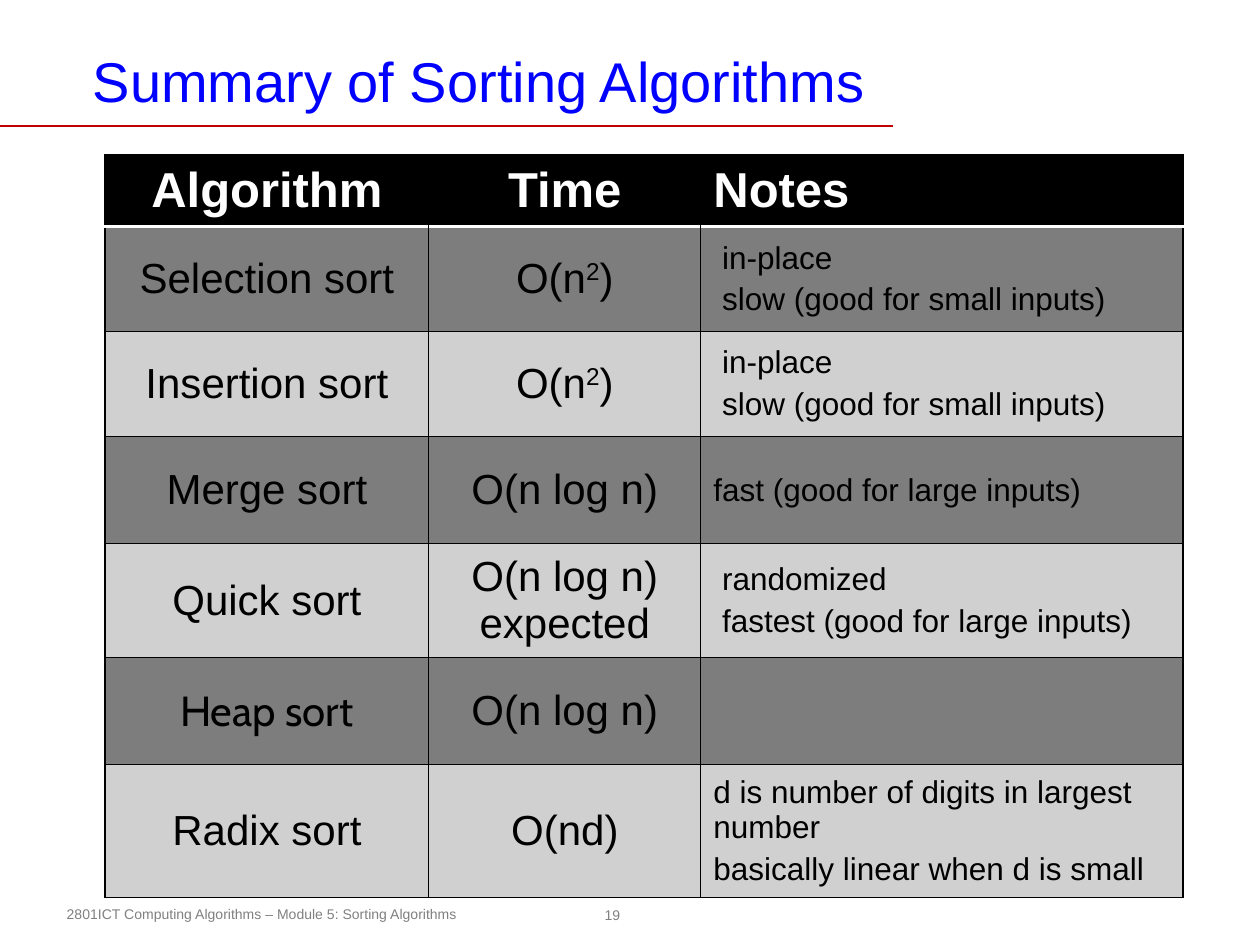
from lxml import etree
from pptx import Presentation
from pptx.dml.color import RGBColor
from pptx.enum.shapes import MSO_CONNECTOR, MSO_SHAPE
from pptx.enum.text import MSO_ANCHOR, PP_ALIGN
from pptx.oxml.ns import qn
from pptx.util import Pt

LEFT, CENTER = PP_ALIGN.LEFT, PP_ALIGN.CENTER
TOP, MIDDLE = MSO_ANCHOR.TOP, MSO_ANCHOR.MIDDLE
OVAL, STRAIGHT = MSO_SHAPE.OVAL, MSO_CONNECTOR.STRAIGHT
BLACK, WHITE, GRAY = "000000", "FFFFFF", "808080"
BLUE, RED = "0000FF", "C00000"
DARK, LIGHT = "7D7D7D", "D0D0D0"
THIN, THICK = (BLACK, 0.75), (WHITE, 2)

SQUARE = [["O(n", "^2", ")"]]
LOG = [["O(n log n)"]]
SLOW = [["in-place"], ["slow (good for small inputs)"]]
HEAD = ["Algorithm", "Time", "Notes"]
SORTS = [
    ("Selection sort", SQUARE, SLOW, 5),
    ("Insertion sort", SQUARE, SLOW, 5),
    ("Merge sort", LOG, [["fast (good for large inputs)"]], 0),
    ("Quick sort", [["O(n log n)", "\n", "expected"]],
     [["randomized"], ["fastest (good for large inputs)"]], 5),
    ("Heap sort", LOG, [], 0),
    ("Radix sort", [["O(nd)"]],
     [["d is number of digits in largest number"],
      ["basically linear when d is small"]], 0),
]
COLS = [185, 155.5, 275.5]
ROWS = [39, 60, 60, 61.5, 61.5, 61.5, 60]


def color(code):
    return RGBColor.from_string(code)


class Deck:
    """Holds the style and the current slide."""

    def __init__(self, font):
        self.font = font
        self.prs = Presentation()
        self.prs.slide_width, self.prs.slide_height = Pt(720), Pt(540)
        self.slide = self.prs.slides.add_slide(self.prs.slide_layouts[6])

    def words(self, frame, paras, size, ink, align=LEFT, bold=False,
              font=None, gap=0, indent=0):
        for num, parts in enumerate(paras):
            para = frame.add_paragraph() if num else frame.paragraphs[0]
            para.alignment = align
            para.space_before = Pt(gap)
            if indent:
                para._p.get_or_add_pPr().set("marL", str(Pt(indent)))
            for part in parts:
                if part == "\n":
                    para.add_line_break()
                    continue
                run = para.add_run()
                run.text = part.lstrip("^")
                run.font.name = font or self.font
                run.font.size, run.font.bold = Pt(size), bold
                run.font.color.rgb = color(ink)
                if part.startswith("^"):
                    run._r.get_or_add_rPr().set("baseline", "30000")

    def inset(self, frame, side, top, wrap=True, anchor=TOP):
        frame.margin_left = frame.margin_right = Pt(side)
        frame.margin_top = frame.margin_bottom = Pt(top)
        frame.word_wrap, frame.vertical_anchor = wrap, anchor

    def text(self, box, label, size, ink, side, top):
        frame = self.slide.shapes.add_textbox(*map(Pt, box)).text_frame
        self.inset(frame, side, top)
        self.words(frame, [[label]], size, ink)

    def badge(self, box, label, size, ink):
        shape = self.slide.shapes.add_shape(OVAL, *map(Pt, box))
        shape.shadow.inherit = False
        shape.fill.background()
        shape.line.fill.background()
        self.inset(shape.text_frame, 3, 3, False, MIDDLE)
        self.words(shape.text_frame, [[label]], size, ink, CENTER)

    def rule(self, start, end, ink, width):
        line = self.slide.shapes.add_connector(
            STRAIGHT, *map(Pt, start + end))
        line.line.color.rgb, line.line.width = color(ink), Pt(width)
        etree.SubElement(line._element.spPr, qn("a:effectLst"))

    def edge(self, cell, side, style):
        props = cell._tc.get_or_add_tcPr()
        line = etree.SubElement(props, qn("a:ln" + side))
        if style is None:
            line.set("w", "0")
            etree.SubElement(line, qn("a:noFill"))
            return
        ink, width = style
        line.set("w", str(Pt(width)))
        fill = etree.SubElement(line, qn("a:solidFill"))
        etree.SubElement(fill, qn("a:srgbClr")).set("val", ink)

    def grid(self, left, top, cols, rows):
        frame = self.slide.shapes.add_table(
            len(rows), len(cols), Pt(left), Pt(top),
            Pt(sum(cols)), Pt(sum(rows)))
        table = frame.table
        for col, width in zip(table.columns, cols):
            col.width = Pt(width)
        for row, height in zip(table.rows, rows):
            row.height = Pt(height)
        return table

    def cell(self, cell, paras, size, ink, fill, edges, **style):
        for side, line in zip("LRTB", edges):
            self.edge(cell, side, line)
        cell.fill.solid()
        cell.fill.fore_color.rgb = color(fill)
        cell.vertical_anchor = MIDDLE
        self.words(cell.text_frame, paras, size, ink, gap=size / 5, **style)


def main():
    deck = Deck("Arial")
    deck.badge((341.5, 513.5, 17, 18.5), "19", 8, GRAY)
    deck.text((31, 514, 262, 17),
              "2801ICT Computing Algorithms – Module 5: Sorting Algorithms",
              8, GRAY, 7.2, 3.6)
    deck.rule((0, 72), (510.5, 72), RED, 1)
    deck.text((48, 24, 636, 90), "Summary of Sorting Algorithms",
              32, BLUE, 5, 2.5)

    table = deck.grid(60, 88.5, COLS, ROWS)
    last = len(HEAD) - 1
    for col, word in enumerate(HEAD):
        edges = (None if col else THIN, THIN if col == last else None,
                 THIN, THICK)
        deck.cell(table.cell(0, col), [[word]], 28, WHITE, BLACK, edges,
                  align=LEFT if col == last else CENTER, bold=True)
    for row, (name, time, notes, indent) in enumerate(SORTS, 1):
        fill = DARK if row % 2 else LIGHT
        edges = (THIN, THIN, THICK if row == 1 else THIN, THIN)
        font = "Cabin" if name == "Heap sort" else None
        deck.cell(table.cell(row, 0), [[name]], 24, BLACK, fill, edges,
                  align=CENTER, font=font)
        deck.cell(table.cell(row, 1), time, 24, BLACK, fill, edges,
                  align=CENTER)
        deck.cell(table.cell(row, 2), notes, 18, BLACK, fill, edges,
                  indent=indent)
    deck.prs.save("out.pptx")


if __name__ == "__main__":
    main()
